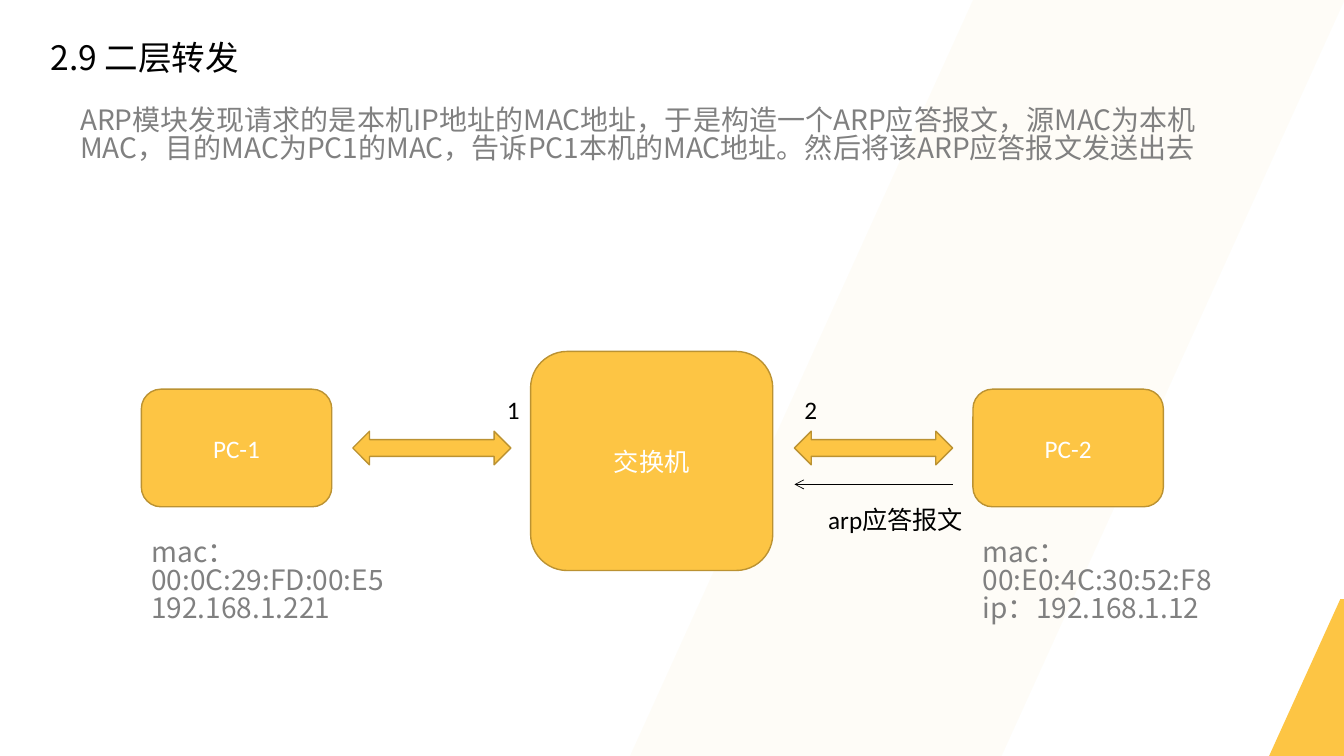
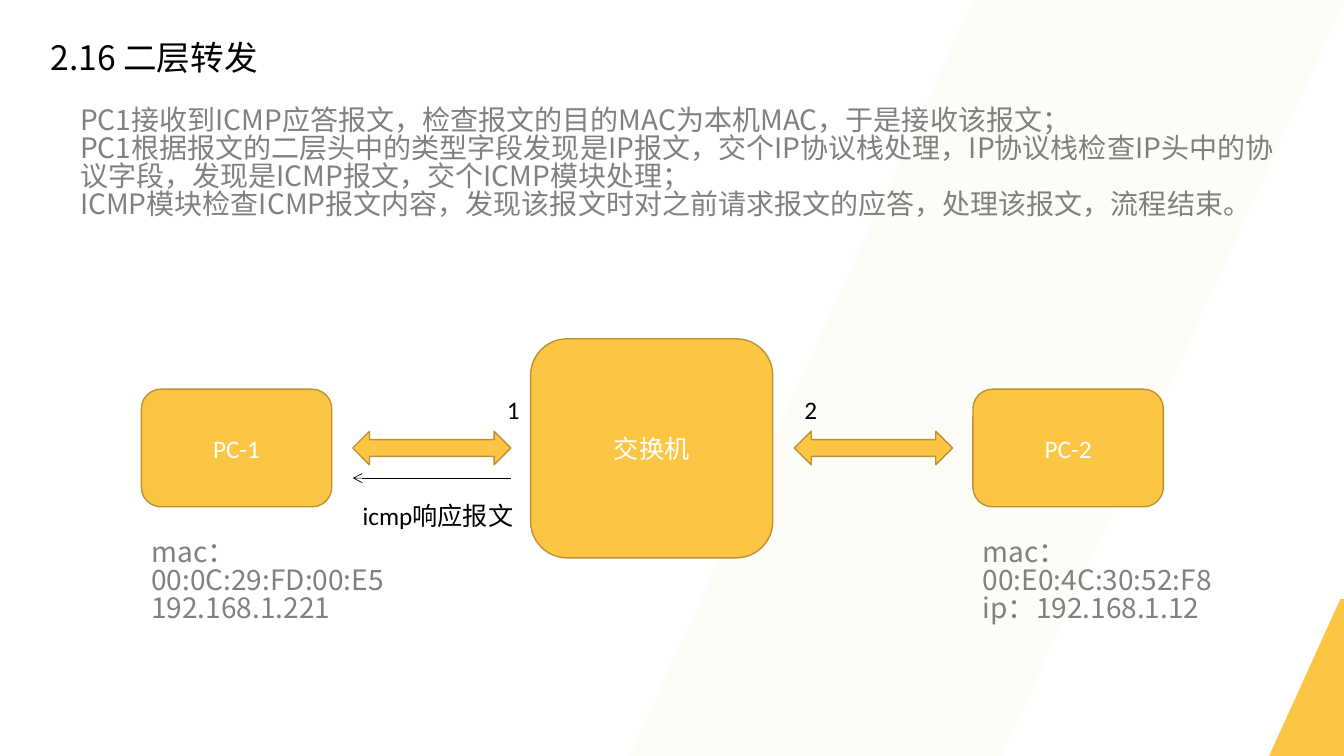
"""Builds two slides on layer 2 forwarding between two PCs and a switch."""
from lxml import etree
from pptx import Presentation
from pptx.dml.color import RGBColor
from pptx.enum import shapes, text
from pptx.oxml import ns
from pptx.util import Pt

HUES = {"gold": "FDC544", "edge": "BB9232", "grey": "808080",
        "ink": "000000", "white": "FFFFFF"}
CJK = "Noto Sans CJK SC"
KIND = shapes.MSO_SHAPE
LEFT, RIGHT = 101, 695
LINKS = (252, 567.5)
SPAN = 113


def hue(name):
    return RGBColor.from_string(HUES[name])


def sub(node, tag, **attrs):
    return etree.SubElement(node, ns.qn(tag), attrs)


def write(shape, lines, size=18, font="Calibri", color="ink", pitch=None,
          align=text.PP_ALIGN.LEFT, anchor=text.MSO_ANCHOR.TOP):
    frame = shape.text_frame
    frame.word_wrap = True
    frame.auto_size = text.MSO_AUTO_SIZE.NONE
    frame.vertical_anchor = anchor
    frame.text = lines
    for para in frame.paragraphs:
        para.alignment = align
        para.space_before = Pt(0)
        if pitch:
            para.line_spacing = Pt(pitch)
        props = para._p.get_or_add_pPr()
        props.set("marL", "0")
        props.set("indent", "0")
        sub(props, "a:buNone")
        for run in para.runs:
            run.font.size = Pt(size)
            run.font.name = font
            run.font.color.rgb = hue(color)
            sub(run.font._element, "a:ea", typeface=CJK)


class Deck:
    def __init__(self):
        self.file = Presentation()
        self.file.slide_width = Pt(960)
        self.file.slide_height = Pt(540)
        self.slide = None

    def page(self, title, body, high):
        self.slide = self.file.slides.add_slide(self.file.slide_layouts[1])
        head, main = self.slide.placeholders
        self.place(head, 28.8, 23, 524, 36)
        write(head, title, size=24, font=CJK)
        self.place(main, 50, 73.5, 871, high)
        write(main, body, size=20, font=CJK, color="grey", pitch=20)
        for box, alpha in (((450, 0, 510.5, 540), 4), ((906.5, 428, 106, 112), 100)):
            band = self.shape(KIND.PARALLELOGRAM, *box, edge=None)
            band.adjustments[0] = 0.48
            tint = band.element.spPr.find(".//" + ns.qn("a:srgbClr"))
            sub(tint, "a:alpha", val=str(alpha * 1000))
            head.element.addprevious(band.element)

    def place(self, shape, x, y, w, h):
        shape.left, shape.top = Pt(x), Pt(y)
        shape.width, shape.height = Pt(w), Pt(h)

    def shape(self, kind, x, y, w, h, edge="edge"):
        shape = self.slide.shapes.add_shape(kind, Pt(x), Pt(y), Pt(w), Pt(h))
        shape.shadow.inherit = False
        shape.fill.solid()
        shape.fill.fore_color.rgb = hue("gold")
        if edge:
            shape.line.color.rgb = hue(edge)
            shape.line.width = Pt(1)
        else:
            shape.line.fill.background()
        return shape

    def node(self, name, x, y, w, h):
        write(self.shape(KIND.ROUNDED_RECTANGLE, x, y, w, h), name, color="white",
              align=text.PP_ALIGN.CENTER, anchor=text.MSO_ANCHOR.MIDDLE)

    def label(self, lines, x, y, w, h=29, **style):
        box = self.slide.shapes.add_textbox(Pt(x), Pt(y), Pt(w), Pt(h))
        write(box, lines, **style)

    def arrow(self, x, y, w):
        line = self.slide.shapes.add_connector(
            shapes.MSO_CONNECTOR.STRAIGHT, Pt(x + w), Pt(y), Pt(x), Pt(y))
        line.line.color.rgb = hue("ink")
        line.line.width = Pt(0.5)
        props = line.element.spPr
        sub(props.find(ns.qn("a:ln")), "a:tailEnd", type="arrow")
        sub(props, "a:effectLst")

    def net(self, top):
        self.node("交换机", 379, top, 173, 156.5)
        for name, x in (("PC-1", LEFT), ("PC-2", RIGHT)):
            self.node(name, x, 278, 136, 84)
        for x in LINKS:
            self.shape(KIND.LEFT_RIGHT_ARROW, x, 308, SPAN, 24)
        for lines, x, w in (("mac：\n00:0C:29:FD:00:E5\n192.168.1.221", LEFT, 265),
                            ("mac：\n00:E0:4C:30:52:F8\nip：192.168.1.12", RIGHT, 185)):
            self.label(lines, x, 382.5, w, 88, size=20, font=CJK,
                       color="grey", pitch=20)
        for port, x in (("1", 355), ("2", LINKS[1])):
            self.label(port, x, 278, 34)


def main():
    deck = Deck()
    deck.page("2.9 二层转发",
              "ARP模块发现请求的是本机IP地址的MAC地址，于是构造一个ARP应答报文，"
              "源MAC为本机MAC，目的MAC为PC1的MAC，告诉PC1本机的MAC地址。"
              "然后将该ARP应答报文发送出去", 48)
    deck.net(251)
    deck.arrow(LINKS[1], 346, SPAN)
    deck.label("arp应答报文", 584.5, 357, 111)

    deck.page("2.16 二层转发",
              "PC1接收到ICMP应答报文，检查报文的目的MAC为本机MAC，于是接收该报文；\n"
              "PC1根据报文的二层头中的类型字段发现是IP报文，交个IP协议栈处理，"
              "IP协议栈检查IP头中的协议字段，发现是ICMP报文，交个ICMP模块处理；\n"
              "ICMP模块检查ICMP报文内容，发现该报文时对之前请求报文的应答，"
              "处理该报文，流程结束。", 108)
    deck.net(242)
    deck.arrow(LINKS[0], 341.5, SPAN)
    deck.label("icmp响应报文", LINKS[0], 353.5, 122)
    deck.file.save("out.pptx")


if __name__ == "__main__":
    main()
